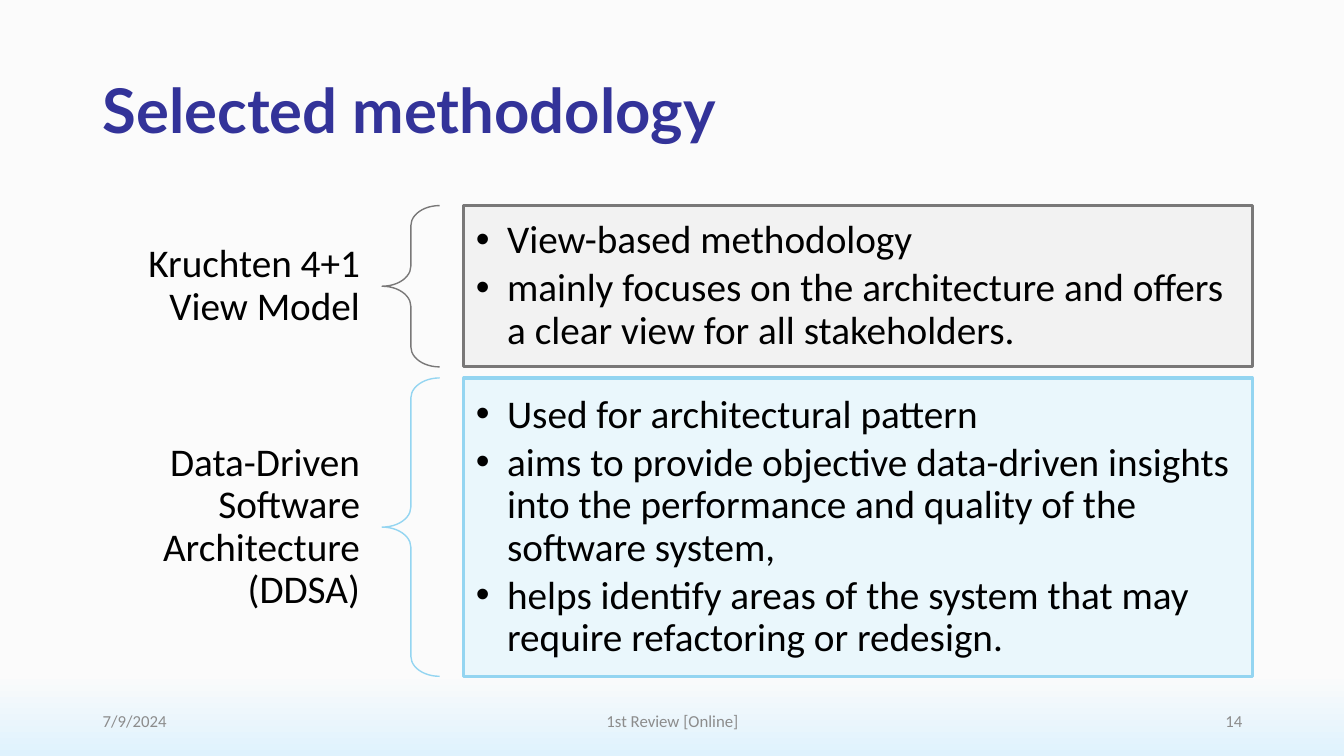
from pptx import Presentation
from pptx.dml.color import RGBColor
from pptx.enum.shapes import MSO_SHAPE
from pptx.enum.text import MSO_ANCHOR, PP_ALIGN
from pptx.oxml.ns import qn
from pptx.util import Inches, Pt
from lxml import etree

LEFT, CENTER, RIGHT = PP_ALIGN.LEFT, PP_ALIGN.CENTER, PP_ALIGN.RIGHT
MIDDLE = MSO_ANCHOR.MIDDLE
BRACE, RECT = MSO_SHAPE.LEFT_BRACE, MSO_SHAPE.RECTANGLE

# Margins and columns
EDGE, WIDTH = 0.92, 11.5
LABEL_W, BRACE_W, GAP = 2.87, 0.57, 0.24

# Label, points, top, height, line colour, fill colour
METHODS = [
    ("Kruchten 4+1 View Model",
     ["View-based methodology",
      "mainly focuses on the architecture and offers a clear view for all stakeholders."],
     2.04, 1.6, "797878", "F2F2F2"),
    ("Data-Driven Software Architecture (DDSA)",
     ["Used for architectural pattern",
      "aims to provide objective data-driven insights into the performance "
      "and quality of the software system,",
      "helps identify areas of the system that may require refactoring or redesign."],
     3.75, 2.96, "94D5F1", "EAF7FC"),
]


def color(code):
    return RGBColor.from_string(code)


def write(shape, lines, size, tint="000000", align=LEFT, font="Calibri",
          bold=False, inset=(0.1, 0.05), space=1.0, after=0):
    frame = shape.text_frame
    frame.word_wrap = True
    frame.vertical_anchor = MIDDLE
    frame.margin_left = frame.margin_right = Inches(inset[0])
    frame.margin_top = frame.margin_bottom = Inches(inset[1])
    frame.text = "\n".join(lines)
    for para in frame.paragraphs:
        para.alignment = align
        para.line_spacing = space
        para.space_after = Pt(after)
        for run in para.runs:
            run.font.name = font
            run.font.size = Pt(size)
            run.font.bold = bold
            run.font.color.rgb = color(tint)


def add_text(slide, box, line, size, **style):
    shape = slide.shapes.add_textbox(*map(Inches, box))
    write(shape, [line], size, **style)


def add_shape(slide, kind, box, line, width):
    shape = slide.shapes.add_shape(kind, *map(Inches, box))
    shape.shadow.inherit = False
    shape.fill.background()
    shape.line.color.rgb = color(line)
    shape.line.width = Pt(width)
    return shape


def add_bullet(para):
    props = para._p.get_or_add_pPr()
    props.set("marL", str(Inches(0.31)))
    props.set("indent", str(-Inches(0.31)))
    etree.SubElement(props, qn("a:buFont")).set("typeface", "Arial")
    etree.SubElement(props, qn("a:buChar")).set("char", "•")


def paint_back(slide):
    fill = slide.background.fill
    fill.gradient()
    fill.gradient_angle = 270
    stops = [(0.89, "FBFBFB"), (1.0, "DFF2FD")]
    for stop, (place, code) in zip(fill.gradient_stops, stops):
        stop.position = place
        stop.color.rgb = color(code)


def add_method(slide, box, label, points, line, fill):
    left, top, width, height = box
    # Label
    add_text(slide, (left, top, LABEL_W, height), label, 28,
             align=RIGHT, inset=(0.22, 0.08), space=0.9)
    # Brace
    left += LABEL_W
    brace = add_shape(slide, BRACE, (left, top, BRACE_W, height), line, 1)
    brace.adjustments[0] = 0.35
    # Panel with its points
    skip = BRACE_W + GAP
    panel = add_shape(slide, RECT,
                      (left + skip, top, width - LABEL_W - skip, height), line, 2.25)
    panel.fill.solid()
    panel.fill.fore_color.rgb = color(fill)
    write(panel, points, 28, inset=(0.12, 0.12), space=0.9, after=4.2)
    for para in panel.text_frame.paragraphs:
        add_bullet(para)


def add_footer(slide, box):
    left, top, width, height = box
    side, mid = 3, 4.5
    parts = [("7/9/2024", left, side, LEFT),
             ("1st Review [Online]", left + (width - mid) / 2, mid, CENTER),
             ("14", left + width - side, side, RIGHT)]
    for text, start, span, align in parts:
        add_text(slide, (start, top, span, height), text, 12,
                 tint="8C8C8C", align=align)


def main():
    deck = Presentation()
    deck.slide_width, deck.slide_height = Inches(13.33), Inches(7.5)
    slide = deck.slides.add_slide(deck.slide_layouts[6])
    paint_back(slide)
    add_text(slide, (EDGE, 0.4, WIDTH, 1.45), "Selected methodology", 44,
             tint="333399", font="Lato", bold=True, space=0.9)
    for label, points, top, height, line, fill in METHODS:
        add_method(slide, (EDGE, top, WIDTH, height), label, points, line, fill)
    add_footer(slide, (EDGE, 6.95, WIDTH, 0.4))
    deck.save("out.pptx")


if __name__ == "__main__":
    main()
